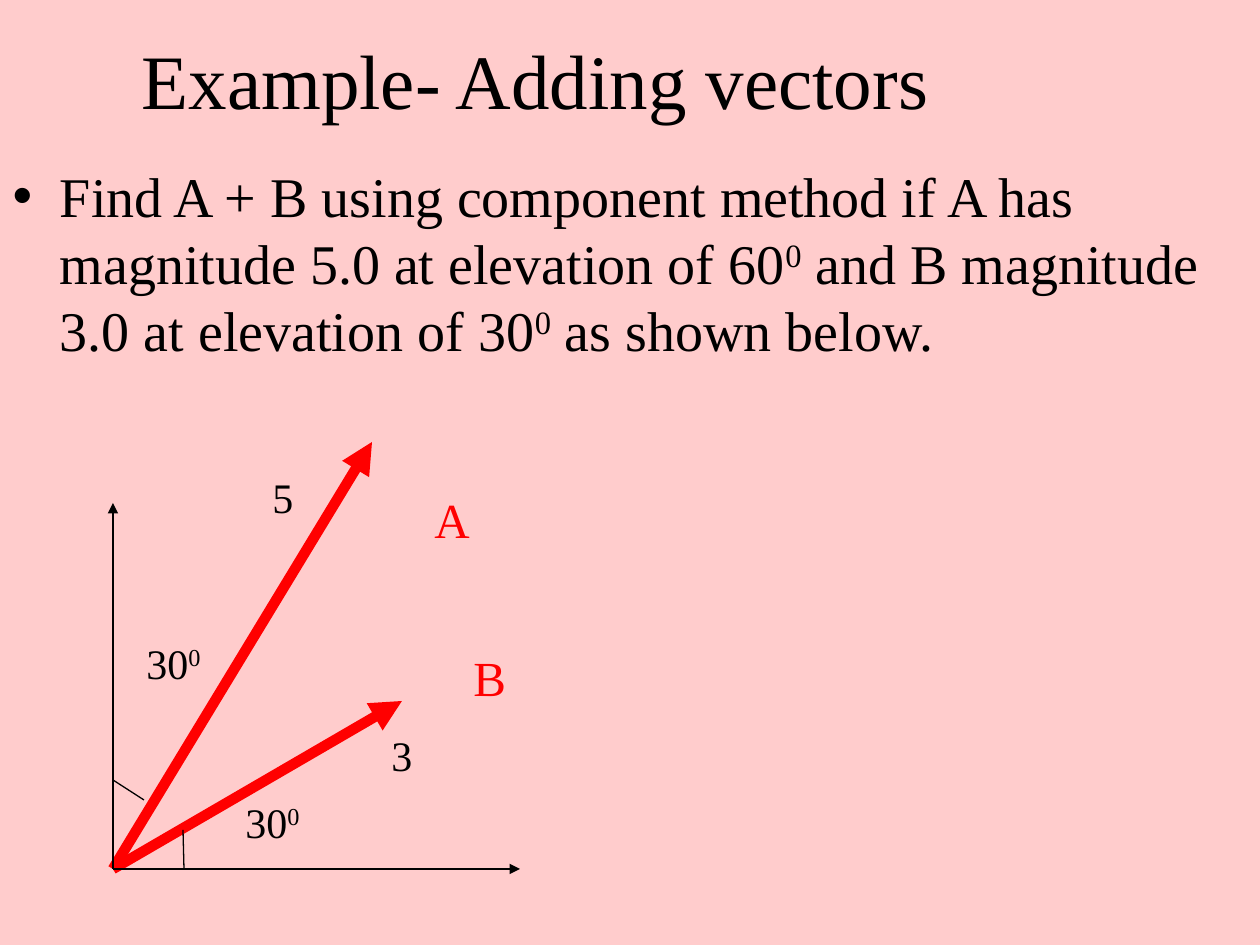
"""Build a slide that sets a vector addition exercise with a diagram."""

from lxml.etree import SubElement
from pptx import Presentation
from pptx.dml.color import RGBColor
from pptx.enum.shapes import MSO_CONNECTOR
from pptx.enum.text import MSO_ANCHOR, MSO_AUTO_SIZE, PP_ALIGN
from pptx.oxml.ns import qn
from pptx.util import Emu, Pt

PINK = RGBColor(0xFF, 0xCC, 0xCC)
RED = RGBColor(0xFF, 0x00, 0x00)
BLACK = RGBColor(0x00, 0x00, 0x00)
FONT = "Times New Roman"
EMU_PER_PX = 914400 / 126

TITLE = "Example- Adding vectors"
QUESTION = (
    "Find A + B using component method if A has magnitude 5.0 at elevation "
    "of 60^0^ and B magnitude 3.0 at elevation of 30^0^ as shown below."
)
ORIGIN = (113, 869)
VECTOR_TIPS = [(402, 701), (372, 442)]
AXIS_TIPS = [(113, 503), (520, 869)]
ANGLE_MARKS = [((183, 830), (184, 869)), ((113, 780), (144, 800))]
VECTOR_NAMES = [("A", (422, 483, 60, 72)), ("B", (461, 641, 58, 72))]
ANGLES = [("30^0^", (233, 790, 82, 63)), ("30^0^", (134, 631, 82, 63))]
MAGNITUDES = [("5", (260, 465, 47, 63)), ("3", (379, 723, 47, 63))]


def px(*lengths):
    return [Emu(round(length * EMU_PER_PX)) for length in lengths]


def place(box, left, top, width, height):
    box.left, box.top, box.width, box.height = px(left, top, width, height)


def write(box, text, size, color=BLACK, align=PP_ALIGN.LEFT):
    """Write text in which ^ marks enclose superscripts."""
    para = box.text_frame.paragraphs[0]
    para.alignment = align
    for index, part in enumerate(text.split("^")):
        span = para.add_run()
        span.text = part
        span.font.name = FONT
        span.font.size = Pt(size)
        span.font.color.rgb = color
        if index % 2:
            span.font._element.set("baseline", "30000")
    return para


def add_line(shapes, start, end, color=BLACK, width=0.75, arrow=False):
    line = shapes.add_connector(MSO_CONNECTOR.STRAIGHT, *px(*start, *end))
    line.line.color.rgb = color
    line.line.width = Pt(width)
    if arrow:
        SubElement(line.line._get_or_add_ln(), qn("a:tailEnd"), type="triangle")
    SubElement(line._element.spPr, qn("a:effectLst"))


def add_label(shapes, text, area, size=24, color=BLACK):
    box = shapes.add_textbox(*px(*area))
    box.text_frame.word_wrap = False
    box.text_frame.auto_size = MSO_AUTO_SIZE.SHAPE_TO_FIT_TEXT
    write(box, text, size, color)


def main():
    deck = Presentation()
    deck.slide_width, deck.slide_height = px(1260, 945)
    page = deck.slides.add_slide(deck.slide_layouts[1])
    page.background.fill.solid()
    page.background.fill.fore_color.rgb = PINK

    title, body = page.placeholders
    place(title, 0, 0, 1071, 158)
    title.text_frame.vertical_anchor = MSO_ANCHOR.MIDDLE
    write(title, TITLE, 44, align=PP_ALIGN.CENTER)
    place(body, 0, 155, 1260, 278)
    write(body, QUESTION, 32).space_before = Pt(6.4)
    for box in (title, body):
        box.text_frame.auto_size = MSO_AUTO_SIZE.NONE

    diagram = page.shapes.add_group_shape().shapes
    for tip in VECTOR_TIPS:
        add_line(diagram, ORIGIN, tip, RED, 6, arrow=True)
    for tip in AXIS_TIPS:
        add_line(diagram, ORIGIN, tip, arrow=True)
    for start, end in ANGLE_MARKS:
        add_line(diagram, start, end)
    for name, area in VECTOR_NAMES:
        add_label(diagram, name, area, 28, RED)
    for angle, area in ANGLES:
        add_label(diagram, angle, area)
    for magnitude, area in MAGNITUDES:
        add_label(page.shapes, magnitude, area)

    deck.save("out.pptx")


if __name__ == "__main__":
    main()
